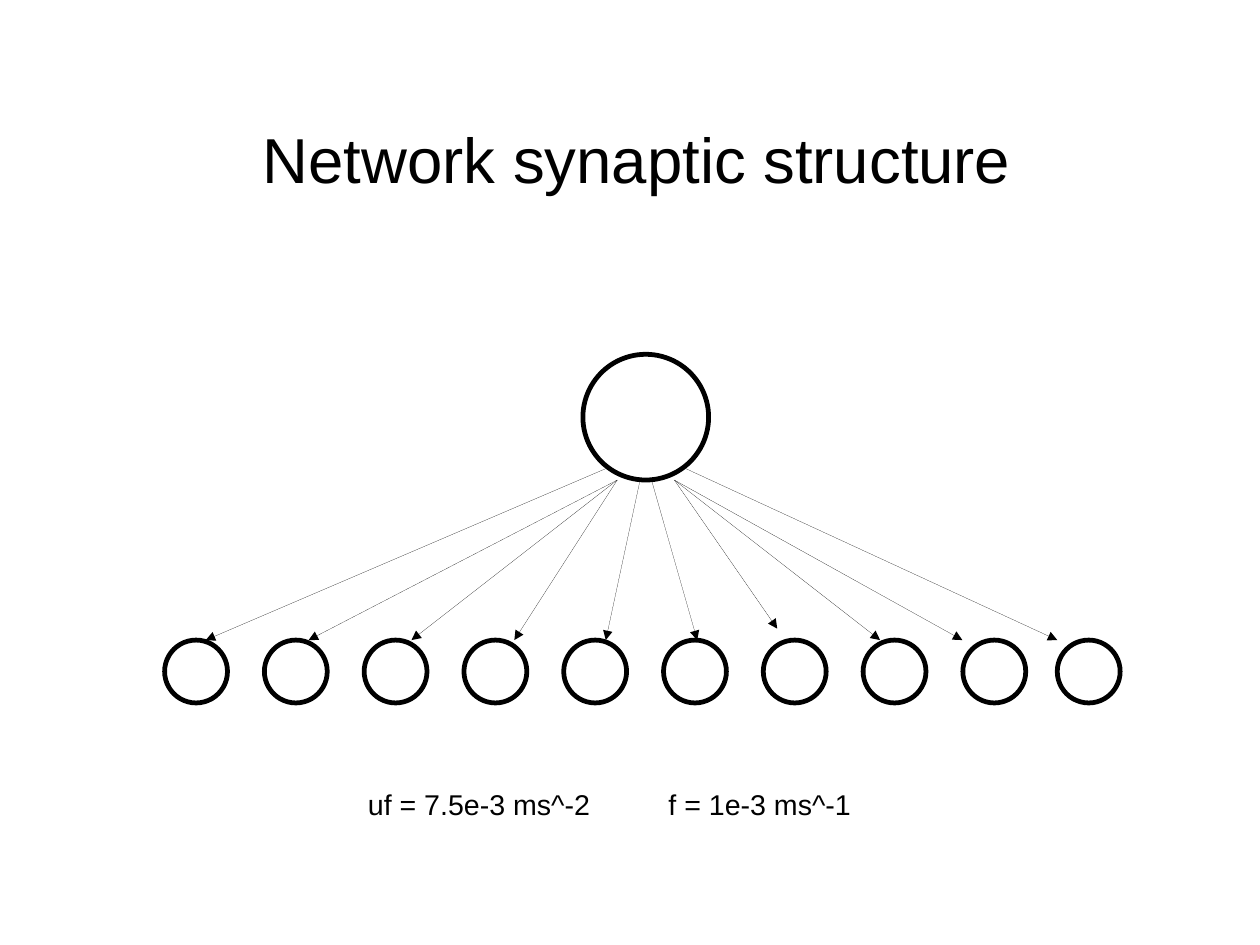
from typing import NamedTuple

from lxml import etree
from pptx import Presentation, util as u
from pptx.dml.color import RGBColor
from pptx.enum import shapes as sh, text as tx
from pptx.oxml import ns

BLACK = RGBColor(0, 0, 0)
CELL = 0.1  # inches per grid column and row
FORMAT = {"name": "Arial", "bold": False}
FRAME = {
    "word_wrap": True,
    "auto_size": tx.MSO_AUTO_SIZE.NONE,
    "vertical_anchor": tx.MSO_ANCHOR.TOP,
}


class Box(NamedTuple):
    col: float
    row: float
    wide: float
    high: float


class Axon(NamedTuple):
    start: tuple[float, float]
    end: tuple[float, float]


SOURCE = Box(51, 31, 11, 11)
SIZE, PITCH, BASE = 5.5, 8.73, 56
TARGETS = [Box(14.4 + PITCH * i, BASE, SIZE, SIZE) for i in range(9)]
TARGETS.append(Box(92.5, BASE, SIZE, SIZE))

LEFT, RIGHT = (54, 42), (59, 42)
AXONS = [
    Axon((53, 41), (18, BASE)),
    *[Axon(LEFT, (col, BASE)) for col in (27, 36, 45)],
    Axon((56, 42), (53, BASE)),
    Axon((57, 42), (61, BASE)),
    Axon(RIGHT, (68, BASE - 1)),
    *[Axon(RIGHT, (col, BASE)) for col in (77, 84.2)],
    Axon((60, 41), (92.5, BASE)),
]


def grid(*cells: float) -> list[u.Length]:
    return [u.Inches(cell * CELL) for cell in cells]


def write(shape, words: str, size: float) -> None:
    frame = shape.text_frame
    for key, value in FRAME.items():
        setattr(frame, key, value)
    para = frame.paragraphs[0]
    para.alignment = tx.PP_ALIGN.LEFT
    run = para.add_run()
    run.text = words
    for key, value in {**FORMAT, "size": u.Pt(size)}.items():
        setattr(run.font, key, value)
    run.font.color.rgb = BLACK


def add_cell(parent, box: Box) -> None:
    """Draw a neuron as an unfilled ring."""
    ring = parent.add_shape(sh.MSO_SHAPE.OVAL, *grid(*box))
    ring.shadow.inherit = False
    ring.fill.background()
    ring.line.color.rgb = BLACK
    ring.line.width = u.Pt(3)


def add_axon(parent, axon: Axon) -> None:
    """Draw a hairline arrow; its zero width must be written out."""
    link = parent.add_connector(
        sh.MSO_CONNECTOR.STRAIGHT, *grid(*axon.start, *axon.end))
    link.line.color.rgb = BLACK
    line = link._element.spPr.find(ns.qn("a:ln"))
    line.set("w", "0")
    etree.SubElement(line, ns.qn("a:tailEnd"), type="triangle")
    etree.SubElement(link._element.spPr, ns.qn("a:effectLst"))


def add_tab(para, col: float) -> None:
    stops = etree.SubElement(para._p.get_or_add_pPr(), ns.qn("a:tabLst"))
    etree.SubElement(stops, ns.qn("a:tab"), pos=str(grid(col)[0]), algn="l")


def main() -> None:
    deck = Presentation()
    deck.slide_width, deck.slide_height = u.Cm(28), u.Cm(21)
    slide = deck.slides.add_slide(deck.slide_layouts[5])

    title = slide.shapes.title
    title.left, title.top, title.width, title.height = grid(22, 10, 68, 8)
    write(title, "Network synaptic structure", 40)

    add_cell(slide.shapes, SOURCE)
    layer = slide.shapes.add_group_shape()
    for box in TARGETS:
        add_cell(layer.shapes, box)
    for axon in AXONS:
        add_axon(slide.shapes, axon)

    rates = slide.shapes.add_textbox(*grid(31.2, 68.4, 49.8, 4.6))
    write(rates, "uf = 7.5e-3 ms^-2\tf = 1e-3 ms^-1", 18)
    add_tab(rates.text_frame.paragraphs[0], 26.3)

    deck.save("out.pptx")


if __name__ == "__main__":
    main()
